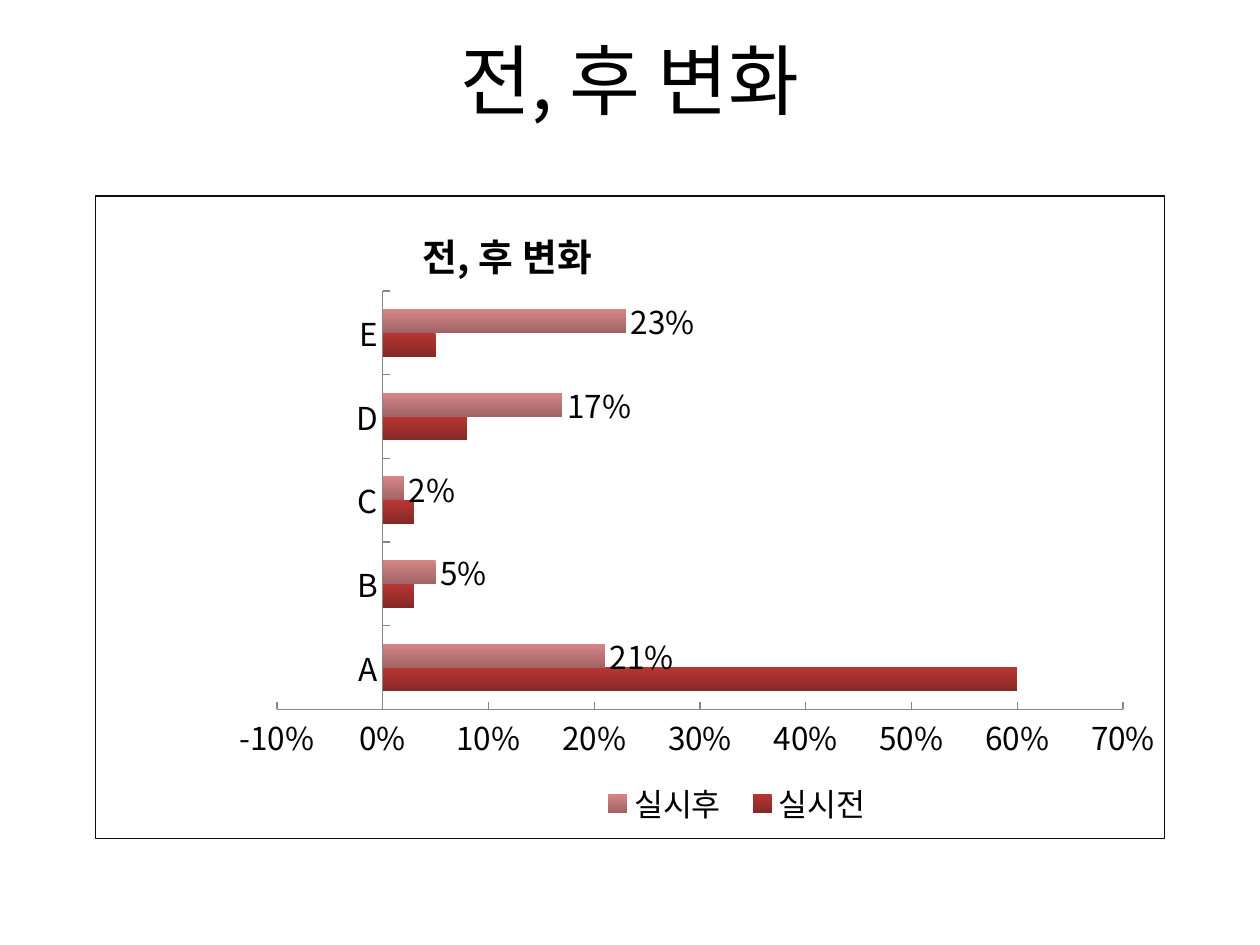
"""Build a slide comparing survey shares before and after in a bar chart."""
from typing import NamedTuple

from lxml import etree
from pptx import Presentation
from pptx.chart.data import CategoryChartData
from pptx.dml.color import RGBColor
from pptx.enum.chart import XL_CHART_TYPE, XL_LABEL_POSITION, XL_LEGEND_POSITION, XL_TICK_MARK
from pptx.enum.text import MSO_ANCHOR, PP_ALIGN
from pptx.oxml import parse_xml
from pptx.oxml.ns import nsdecls, qn
from pptx.util import Pt

BAR = XL_CHART_TYPE.BAR_CLUSTERED
LABEL_END = XL_LABEL_POSITION.OUTSIDE_END
LEGEND_BOTTOM = XL_LEGEND_POSITION.BOTTOM
TICK_IN = XL_TICK_MARK.INSIDE
MIDDLE = MSO_ANCHOR.MIDDLE
CENTER = PP_ALIGN.CENTER
FONT = "Noto Sans CJK KR"
TITLE = "전, 후 변화"
BLACK = "000000"


class Series(NamedTuple):
    name: str
    values: tuple
    top: str
    bottom: str
    labelled: bool


SERIES = (
    Series("실시전", (0.6, 0.03, 0.03, 0.08, 0.05), "B83632", "852826", False),
    Series("실시후", (0.21, 0.05, 0.02, 0.17, 0.23), "D88686", "A06466", True),
)


def rgb(color: str) -> RGBColor:
    return RGBColor.from_string(color)


def set_font(font, size: float, bold: bool = False) -> None:
    font.name, font.size, font.bold = FONT, Pt(size), bold
    font.color.rgb = rgb(BLACK)


def set_layout(el, index: int, inner: bool = False, **box: float) -> None:
    for old in el.findall(qn("c:layout")):
        el.remove(old)
    layout = etree.Element(qn("c:layout"))
    manual = etree.SubElement(layout, qn("c:manualLayout"))
    parts = [("layoutTarget", "inner")] if inner else []
    parts += [(f"{key}Mode", "edge") for key in "xy"]
    parts += [(key, str(value)) for key, value in box.items()]
    for tag, value in parts:
        etree.SubElement(manual, qn(f"c:{tag}")).set("val", value)
    el.insert(index, layout)


def style_axis(axis) -> None:
    axis.has_major_gridlines = False
    axis.major_tick_mark = TICK_IN
    axis.minor_tick_mark = XL_TICK_MARK.NONE
    axis.format.line.color.rgb = rgb("868686")
    axis.format.line.width = Pt(0.75)
    set_font(axis.tick_labels.font, 18)


def style_series(series, spec: Series) -> None:
    fill = series.format.fill
    fill.gradient()
    fill.gradient_angle = 270
    for stop, color in zip(fill.gradient_stops, (spec.top, spec.bottom)):
        stop.color.rgb = rgb(color)
    if spec.labelled:
        labels = series.data_labels
        labels.show_value = True
        labels.number_format, labels.number_format_is_linked = "0%", False
        labels.position = LABEL_END
        set_font(labels.font, 18)


def add_bar_chart(slide) -> None:
    data = CategoryChartData(number_format="0%")
    data.categories = list("ABCDE")
    for spec in SERIES:
        data.add_series(spec.name, spec.values)
    chart = slide.shapes.add_chart(BAR, Pt(54), Pt(111.6), Pt(612), Pt(368), data).chart
    set_font(chart.font, 18)

    chart.has_title = True
    tf = chart.chart_title.text_frame
    tf.text = TITLE
    set_font(tf.paragraphs[0].font, 21.6, True)
    set_layout(chart.chart_title._element, 1, x=0.3, y=0.03)

    chart.has_legend = True
    legend = chart.legend
    legend.position, legend.include_in_layout = LEGEND_BOTTOM, False
    set_font(legend.font, 18)
    set_layout(legend._element, 1, x=0.46, y=0.9, w=0.28, h=0.09)

    plot = chart.plots[0]
    plot.gap_width, plot.overlap, plot.vary_by_categories = 150, 0, False
    for series, spec in zip(plot.series, SERIES):
        style_series(series, spec)

    value = chart.value_axis
    value.minimum_scale, value.maximum_scale, value.major_unit = -0.1, 0.7, 0.1
    value.tick_labels.number_format = "0%"
    value.tick_labels.number_format_is_linked = False
    for axis in (chart.category_axis, value):
        style_axis(axis)

    root = chart._chartSpace.find(qn("c:chart"))
    set_layout(root.find(qn("c:plotArea")), 0, True, x=0.17, y=0.148, w=0.791, h=0.651)
    root.addnext(parse_xml(
        f'<c:spPr {nsdecls("c", "a")}><a:noFill/><a:ln w="{Pt(0.75)}"><a:solidFill>'
        '<a:srgbClr val="0D0D0D"/></a:solidFill></a:ln></c:spPr>'))


def main() -> None:
    prs = Presentation()
    prs.slide_width, prs.slide_height = Pt(720), Pt(540)
    s = prs.slides.add_slide(prs.slide_layouts[5])
    sp = s.shapes.title
    sp.left, sp.top, sp.width, sp.height = Pt(0), Pt(0), Pt(720), Pt(90)
    tf = sp.text_frame
    tf.text, tf.vertical_anchor = TITLE, MIDDLE
    p = tf.paragraphs[0]
    p.alignment = CENTER
    set_font(p.font, 44)
    add_bar_chart(s)
    prs.save("out.pptx")


if __name__ == "__main__":
    main()
